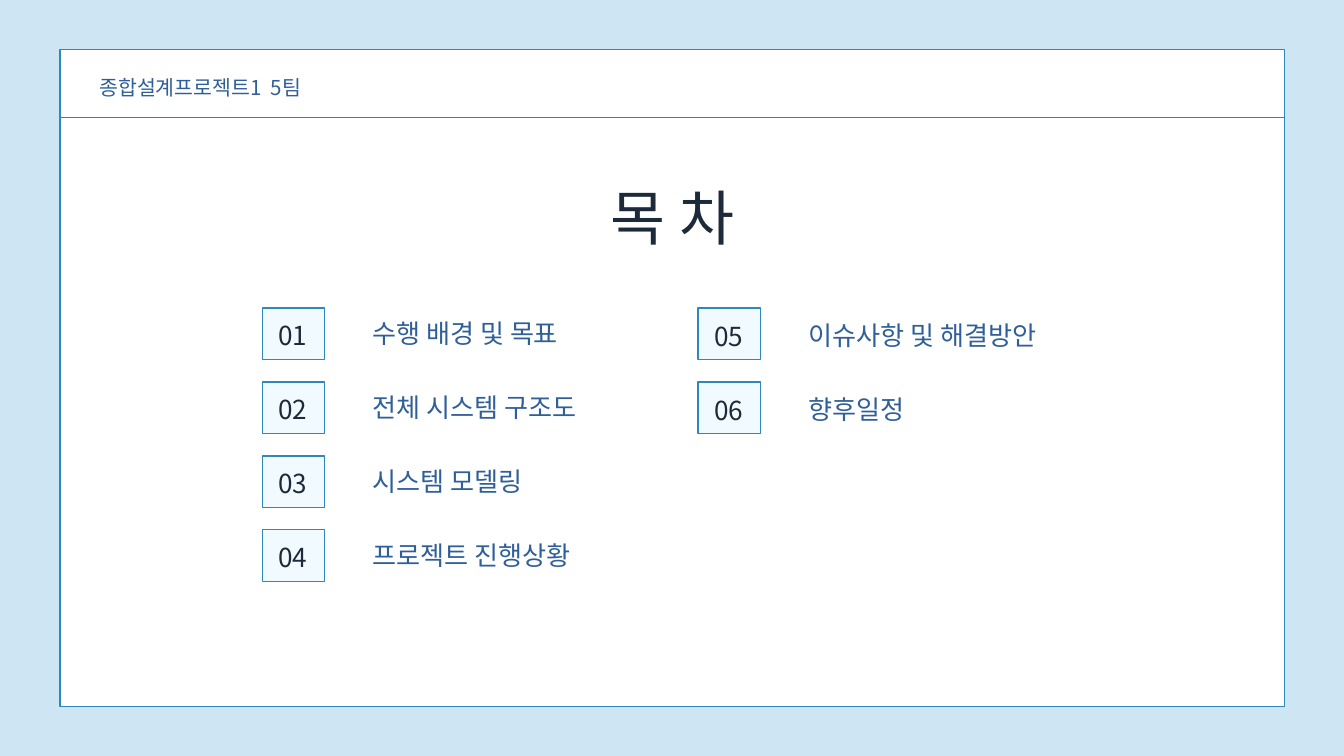
from lxml import etree
from pptx import Presentation
from pptx.dml.color import RGBColor
from pptx.enum.shapes import MSO_CONNECTOR, MSO_SHAPE
from pptx.enum.text import MSO_ANCHOR, PP_ALIGN
from pptx.oxml.ns import qn
from pptx.util import Pt

LEFT, CENTER = PP_ALIGN.LEFT, PP_ALIGN.CENTER
TOP = MSO_ANCHOR.TOP
RECTANGLE = MSO_SHAPE.RECTANGLE
STRAIGHT = MSO_CONNECTOR.STRAIGHT

FONT = "Noto Sans CJK KR"
SKY, WHITE, PALE = "CEE6F4", "FFFFFF", "F1FAFF"
BORDER, NAVY, BLUE = "3087BB", "1D2A3A", "2F5F98"

PANEL_LEFT, PANEL_TOP, PANEL_WIDTH, PANEL_HEIGHT = 64.2, 53.2, 1312, 703.5
HEADER_LINE_TOP = 126
ROW_TOP, ROW_PITCH = 330, 79.2
BADGE_WIDTH, BADGE_HEIGHT = 66.7, 55.4
LABEL_OFFSET = 118

# Left edge of the badges, downward shift of the text, entries
COLUMNS = [
    (281, 10.6, ["수행 배경 및 목표", "전체 시스템 구조도", "시스템 모델링", "프로젝트 진행상황"]),
    (748, 12, ["이슈사항 및 해결방안", "향후일정"]),
]


def color(hex_code):
    return RGBColor.from_string(hex_code)


def add_box(slide, left, top, width, height, fill):
    box = slide.shapes.add_shape(RECTANGLE, Pt(left), Pt(top), Pt(width), Pt(height))
    box.shadow.inherit = False
    box.fill.solid()
    box.fill.fore_color.rgb = color(fill)
    box.line.color.rgb = color(BORDER)
    box.line.width = Pt(1.5)


def add_rule(slide, left, top, width):
    rule = slide.shapes.add_connector(STRAIGHT, Pt(left), Pt(top), Pt(left + width), Pt(top))
    rule.line.color.rgb = color(BORDER)
    rule.line.width = Pt(1.5)
    etree.SubElement(rule._element.spPr, qn("a:effectLst"))


def add_text(slide, text, left, top, width, height, *, size=28, spacing=33.6,
             ink=BLUE, align=LEFT):
    frame = slide.shapes.add_textbox(Pt(left), Pt(top), Pt(width), Pt(height)).text_frame
    frame.word_wrap = True
    frame.vertical_anchor = TOP
    frame.margin_left = frame.margin_right = frame.margin_top = frame.margin_bottom = 0
    paragraph = frame.paragraphs[0]
    paragraph.alignment = align
    paragraph.line_spacing = Pt(spacing)
    run = paragraph.add_run()
    run.text = text
    run.font.size = Pt(size)
    run.font.color.rgb = color(ink)
    run.font.name = FONT
    etree.SubElement(run.font._element, qn("a:ea"), typeface=FONT)


def add_entry(slide, number, label, left, top, text_shift):
    add_box(slide, left, top, BADGE_WIDTH, BADGE_HEIGHT, PALE)
    add_text(slide, f"{number:02}", left, top + text_shift + 1.4, BADGE_WIDTH - 1, 32.4,
             ink=NAVY, align=CENTER)
    add_text(slide, label, left + LABEL_OFFSET, top + text_shift, 306, 33.8)


def main():
    prs = Presentation()
    prs.slide_width, prs.slide_height = Pt(1440), Pt(810)
    slide = prs.slides.add_slide(prs.slide_layouts[6])
    slide.background.fill.solid()
    slide.background.fill.fore_color.rgb = color(SKY)

    add_box(slide, PANEL_LEFT, PANEL_TOP, PANEL_WIDTH, PANEL_HEIGHT, WHITE)
    add_rule(slide, PANEL_LEFT, HEADER_LINE_TOP, PANEL_WIDTH)
    add_text(slide, "종합설계프로젝트1  5팀", 106.5, 76.3, 265, 30.2, size=22, spacing=30.8)
    add_text(slide, "목 차", 499.7, 180.7, 441.4, 85.7, size=64, spacing=89.6,
             ink=NAVY, align=CENTER)

    number = 0
    for left, text_shift, labels in COLUMNS:
        for row, label in enumerate(labels):
            number += 1
            add_entry(slide, number, label, left, ROW_TOP + row * ROW_PITCH, text_shift)

    prs.save("out.pptx")


if __name__ == "__main__":
    main()
